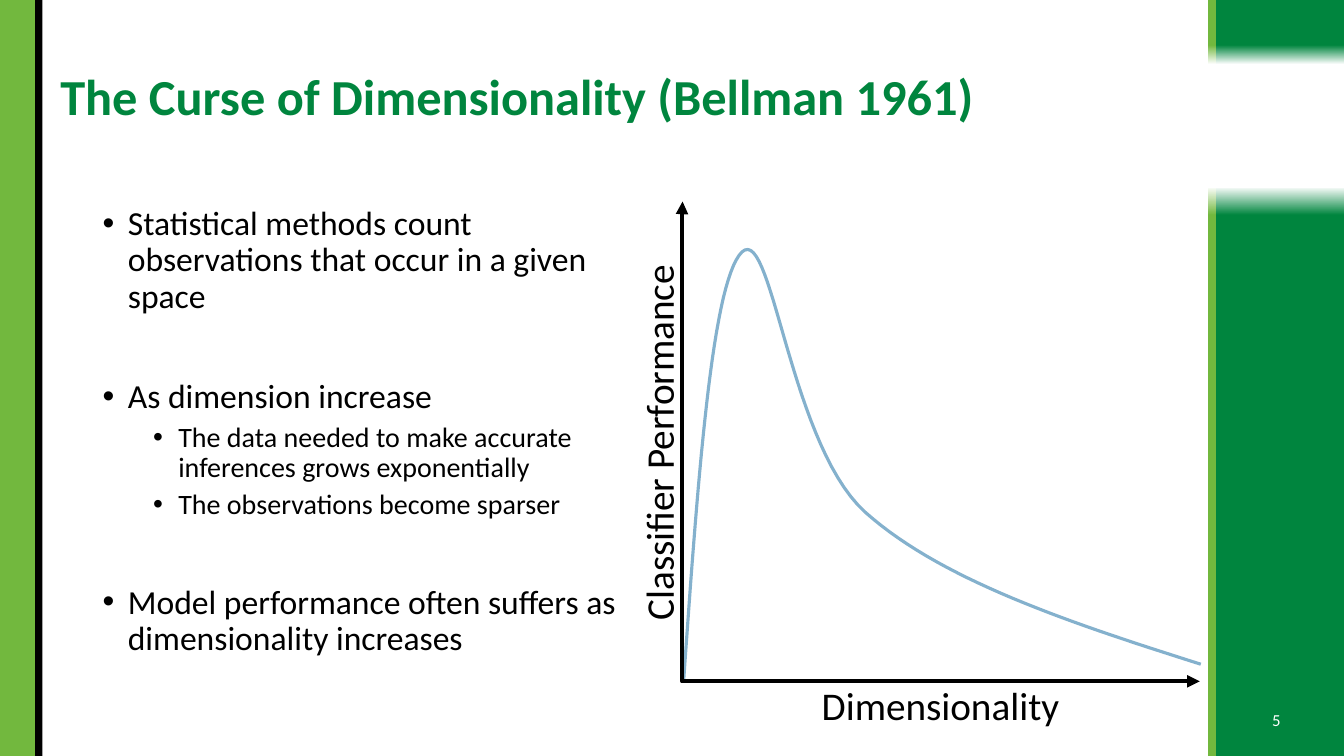
from dataclasses import dataclass

from lxml.etree import SubElement
from pptx import Presentation
from pptx.dml.color import RGBColor as Rgb
from pptx.enum.shapes import MSO_CONNECTOR as Link, MSO_SHAPE as Preset
from pptx.enum.text import MSO_ANCHOR as Anchor, PP_ALIGN as Align
from pptx.oxml.ns import qn
from pptx.util import Inches, Pt


@dataclass(frozen=True)
class Theme:
    """Colours, font and type sizes of the slide."""
    font: str = "Calibri"
    green: str = "00853E"
    lime: str = "72B83E"
    blue: str = "84B1CD"
    black: str = "000000"
    white: str = "FFFFFF"
    title: int = 36
    axis: int = 28
    body: int = 24
    detail: int = 20
    number: int = 12


class SlideBuilder:
    """Draws each kind of element on one slide in one theme."""

    def __init__(self, slide, theme):
        self.shapes = slide.shapes
        self.theme = theme

    def band(self, box, color, solid_until=None, rotation=0):
        """Add a plain band, or one that fades to white after a percentage."""
        band = self.shapes.add_shape(Preset.RECTANGLE, *map(Inches, box))
        band.shadow.inherit = False
        band.line.fill.background()
        band.rotation = rotation
        if solid_until is None:
            band.fill.solid()
            band.fill.fore_color.rgb = Rgb.from_string(color)
            return
        band.fill.gradient()
        band.fill.gradient_angle = 270
        fade = ((solid_until / 100, color), (1, self.theme.white))
        for stop, (position, shade) in zip(band.fill.gradient_stops, fade):
            stop.position = position
            stop.color.rgb = Rgb.from_string(shade)

    def frame(self, box, anchor=Anchor.TOP, wrap=True, rotation=0):
        """Add a text box and return its text frame."""
        holder = self.shapes.add_textbox(*map(Inches, box))
        holder.rotation = rotation
        frame = holder.text_frame
        frame.word_wrap = wrap
        frame.vertical_anchor = anchor
        return frame

    def add_words(self, paragraph, words, size, color, bold=False):
        """Add one styled run to a paragraph."""
        run = paragraph.add_run()
        run.text = words
        run.font.name = self.theme.font
        run.font.size = Pt(size)
        run.font.bold = bold
        run.font.color.rgb = Rgb.from_string(color)

    def label(self, box, words, size, color, bold=False, align=Align.LEFT):
        """Add a single line centred vertically in its box."""
        line = self.frame(box, Anchor.MIDDLE).paragraphs[0]
        line.alignment = align
        line.line_spacing = 0.9
        self.add_words(line, words, size, color, bold)

    def axis_label(self, box, words, rotation=0):
        """Add an unwrapped axis name without margins."""
        frame = self.frame(box, wrap=False, rotation=rotation)
        frame.margin_left = frame.margin_right = 0
        frame.margin_top = frame.margin_bottom = 0
        self.add_words(frame.paragraphs[0], words, self.theme.axis, self.theme.black)

    def bullets(self, box, points):
        """Add bullets given as level, space before and words."""
        frame = self.frame(box)
        for index, (level, space, words) in enumerate(points):
            point = frame.add_paragraph() if index else frame.paragraphs[0]
            point.level = level
            point.line_spacing = 0.9
            point.space_before = Pt(space)
            properties = point._p.get_or_add_pPr()
            properties.set("marL", str(Inches(0.25 + 0.5 * level)))
            properties.set("indent", str(Inches(-0.25)))
            SubElement(properties, qn("a:buFont")).set("typeface", "Arial")
            SubElement(properties, qn("a:buChar")).set("char", "•")
            size = self.theme.detail if level else self.theme.body
            self.add_words(point, words, size, self.theme.black)

    def curve(self, start, segments, color, width, steps=30):
        """Add an open outline through cubic Bézier segments."""
        points = []
        origin = start
        for first, second, end in segments:
            for step in range(1, steps + 1):
                t = step / steps
                weights = (1 - t) ** 3, 3 * t * (1 - t) ** 2, 3 * t * t * (1 - t), t ** 3
                points.append(tuple(
                    Inches(sum(w * c for w, c in zip(weights, coords)))
                    for coords in zip(origin, first, second, end)))
            origin = end
        builder = self.shapes.build_freeform(*map(Inches, start))
        builder.add_line_segments(points, close=False)
        outline = builder.convert_to_shape()
        outline.shadow.inherit = False
        outline.fill.background()
        outline.line.color.rgb = Rgb.from_string(color)
        outline.line.width = Pt(width)

    def axes(self, top, right, color, width):
        """Add both axes as one elbow with an arrowhead at each end."""
        axes = self.shapes.add_connector(Link.ELBOW, *map(Inches, top + right))
        axes.line.color.rgb = Rgb.from_string(color)
        axes.line.width = Pt(width)
        properties = axes._element.spPr
        adjustments = properties.find(qn("a:prstGeom")).get_or_add_avLst()
        guide = SubElement(adjustments, qn("a:gd"))
        guide.set("name", "adj1")
        guide.set("fmla", "val -100")
        for end in ("a:headEnd", "a:tailEnd"):
            SubElement(properties.find(qn("a:ln")), qn(end)).set("type", "triangle")
        SubElement(properties, qn("a:effectLst"))


def main():
    """Build and save the slide."""
    deck = Presentation()
    deck.slide_width, deck.slide_height = Inches(13.33), Inches(7.5)
    theme = Theme()
    page = SlideBuilder(deck.slides.add_slide(deck.slide_layouts[6]), theme)

    for left, width, color in ((12.06, 1.27, theme.green), (11.98, 0.08, theme.lime)):
        page.band((left, 0, width, 0.64), color, 70)
        page.band((left, 1.85, width, 5.65), color, 95, rotation=180)
    page.band((0, 0, 0.35, 7.5), theme.lime)
    page.band((0.35, 0, 0.07, 7.5), theme.black)

    page.label((0.5, 0.4, 11.4, 1.16), "The Curse of Dimensionality (Bellman 1961)",
               theme.title, theme.green, bold=True)
    page.bullets((0.92, 2, 5.4, 4.76), (
        (0, 10, "Statistical methods count observations that occur in a given space"),
        (0, 46, "As dimension increase"),
        (1, 5, "The data needed to make accurate inferences grows exponentially"),
        (1, 5, "The observations become sparser"),
        (0, 46, "Model performance often suffers as dimensionality increases"),
    ))
    page.label((12.4, 6.95, 0.52, 0.4), "5", theme.number, theme.white, align=Align.CENTER)

    page.axis_label((8.15, 6.76, 2.38, 0.47), "Dimensionality")
    page.axis_label((4.75, 4.14, 3.56, 0.47), "Classifier Performance", rotation=270)
    page.curve((6.78, 6.77), (
        ((6.92, 4.78), (7.06, 2.79), (7.36, 2.5)),
        ((7.66, 2.22), (7.83, 4.4), (8.58, 5.08)),
        ((9.34, 5.76), (10.62, 6.18), (11.91, 6.59)),
    ), theme.blue, 2.25)
    page.axes((6.77, 2), (11.9, 6.76), theme.black, 3)
    deck.save("out.pptx")


if __name__ == "__main__":
    main()
